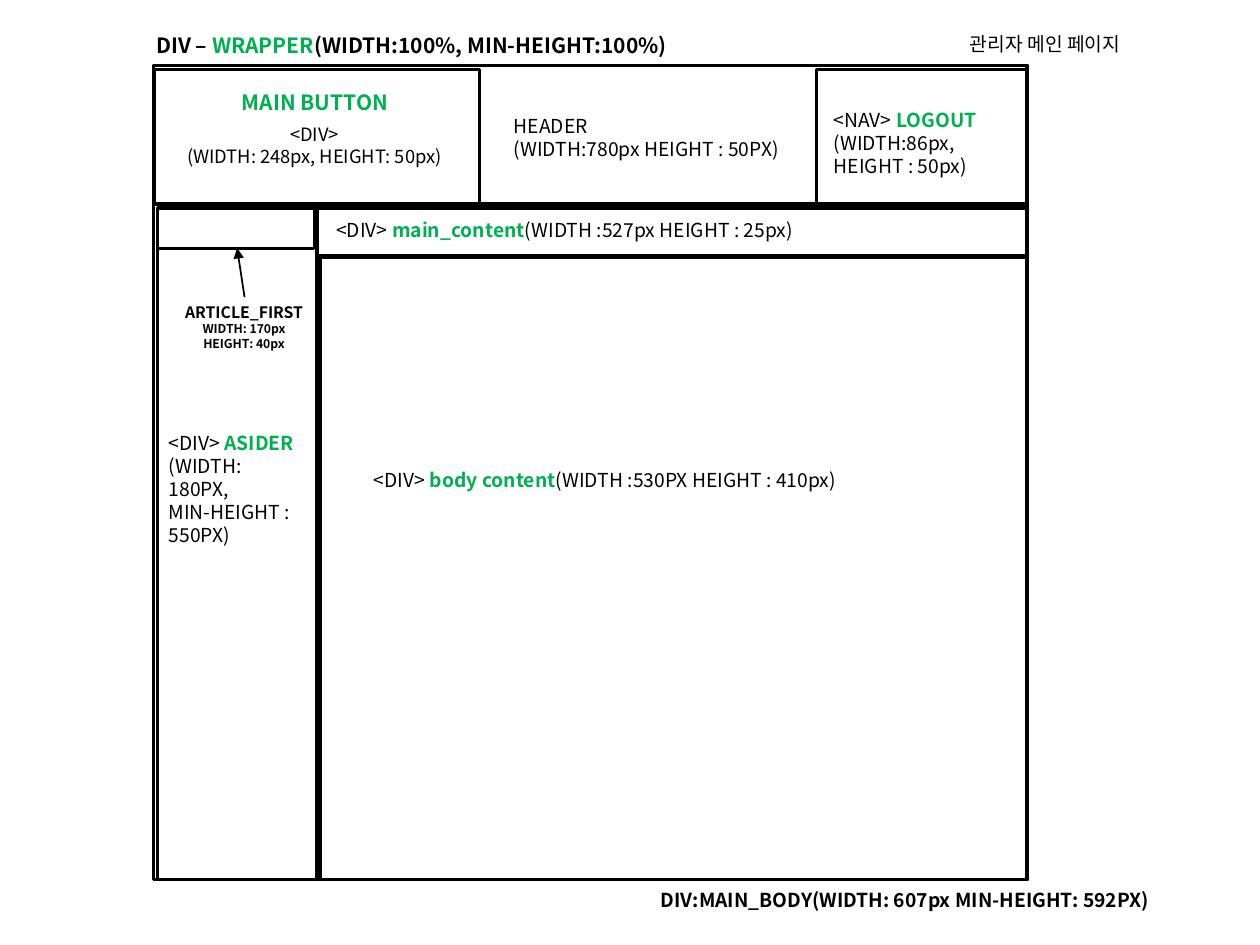
from lxml.etree import SubElement
from pptx import Presentation
from pptx.dml.color import RGBColor as Rgb
from pptx.enum.shapes import MSO_CONNECTOR as Link, MSO_SHAPE as Kind
from pptx.enum.text import MSO_ANCHOR as Anchor, MSO_AUTO_SIZE as Fit, PP_ALIGN as Align
from pptx.oxml.ns import qn
from pptx.util import Cm, Pt

FONT = "Noto Sans CJK KR"
COLORS = {"ink": "000000", "name": "00B050"}


def place(box, x, y, w, h):
    return Cm(box[0] + x), Cm(box[1] + y), Cm(w), Cm(h)


def write(frame, lines, sizes, align=Align.LEFT, bold=False):
    # Text between bars is a green element name.
    for i, (line, size) in enumerate(zip(lines, sizes)):
        para = frame.paragraphs[0] if i == 0 else frame.add_paragraph()
        para.alignment = align
        for j, part in enumerate(line.split("|")):
            if not part:
                continue
            named = j % 2 == 1
            run = para.add_run()
            run.text = part
            font = run.font
            font.size = Pt(size)
            font.bold = bold or named
            font.color.rgb = Rgb.from_string(COLORS["name" if named else "ink"])
            font.name = FONT
            SubElement(run._r.get_or_add_rPr(), qn("a:ea"), typeface=FONT)


def label(slide, spot, lines, size=11, align=Align.LEFT, bold=False, wrap=True):
    frame = slide.shapes.add_textbox(*spot).text_frame
    frame.word_wrap = wrap
    frame.auto_size = Fit.SHAPE_TO_FIT_TEXT
    write(frame, lines, [size] * len(lines), align, bold)


def block(slide, spot, kind=Kind.RECTANGLE, width=2):
    shape = slide.shapes.add_shape(kind, *spot)
    shape.shadow.inherit = False
    shape.fill.background()
    if width:
        shape.line.color.rgb = Rgb.from_string(COLORS["ink"])
        shape.line.width = Pt(width)
    else:
        shape.line.fill.background()
    return shape


def note(slide, spot, lines, sizes):
    frame = block(slide, spot, Kind.FLOWCHART_PROCESS, 0).text_frame
    frame.word_wrap = True
    frame.vertical_anchor = Anchor.MIDDLE
    write(frame, lines, sizes, Align.CENTER, True)


def arrow(slide, box, start, end):
    x, y = box[:2]
    line = slide.shapes.add_connector(
        Link.STRAIGHT, Cm(x + start[0]), Cm(y + start[1]), Cm(x + end[0]), Cm(y + end[1]))
    line.line.color.rgb = Rgb.from_string(COLORS["ink"])
    line.line.width = Pt(1)
    SubElement(line.line._get_or_add_ln(), qn("a:tailEnd"), type="triangle")
    SubElement(line._element.spPr, qn("a:effectLst"))


def wrapper(slide, box):
    block(slide, place(box, 0, 0, *box[2:]))
    label(slide, place(box, -0.2, -0.79, 11.1, 0.76),
          ["DIV – |WRAPPER|(WIDTH:100%, MIN-HEIGHT:100%)"], 12, bold=True, wrap=False)
    label(slide, place(box, 16.2, -0.79, 3.91, 0.74), ["관리자 메인 페이지"], wrap=False)
    note(slide, place(box, 8.99, box[3] + 0.02, 12.32, 0.79),
         ["DIV:MAIN_BODY(WIDTH: 607px MIN-HEIGHT: 592PX)"], [11])


def header(slide, box):
    block(slide, place(box, 0, 0, *box[2:]))
    block(slide, place(box, 0.02, 0.08, 6.55, 2.72))
    block(slide, place(box, 13.36, 0.08, 4.24, 2.72))
    label(slide, place(box, 0, 0.36, 6.5, 0.76), ["|MAIN BUTTON|"], 12, Align.CENTER)
    label(slide, place(box, -0.05, 1.04, 6.58, 1.14),
          ["<DIV>", "(WIDTH: 248px, HEIGHT: 50px)"], 10.5, Align.CENTER)
    label(slide, place(box, 7.01, 0.86, 6.65, 1.19),
          ["HEADER", "(WIDTH:780px HEIGHT : 50PX)"])
    label(slide, place(box, 13.46, 0.74, 4.19, 1.68),
          ["<NAV> |LOGOUT|", "(WIDTH:86px,", "HEIGHT : 50px)"])


def aside(slide, box):
    block(slide, place(box, 0, 0, *box[2:]))
    block(slide, place(box, 0, 0.03, 3.15, 0.79), Kind.FLOWCHART_PROCESS, 1.25)
    note(slide, place(box, 0.15, 1.8, 3.18, 1.19),
         ["ARTICLE_FIRST", "WIDTH: 170px", "HEIGHT: 40px"], [9, 7, 7])
    arrow(slide, box, (1.75, 1.8), (1.6, 0.81))
    label(slide, place(box, -0.03, 4.37, 3.2, 2.13),
          ["<DIV> |ASIDER| (WIDTH: 180PX,", "MIN-HEIGHT : 550PX)"])


def content(slide, box):
    w, h = box[2:]
    block(slide, place(box, 0, 0, w, 0.97))
    block(slide, place(box, 0.05, 0.99, w - 0.05, h - 0.99))
    label(slide, place(box, 0.13, 0.08, 9.93, 0.74),
          ["<DIV> |main_content|(WIDTH :527px HEIGHT : 25px)"])
    label(slide, place(box, 0.89, 5.13, 11.33, 0.74),
          ["<DIV> |body content|(WIDTH :530PX HEIGHT : 410px)"])


def main():
    deck = Presentation()
    deck.slide_width, deck.slide_height = Cm(25.4), Cm(19.05)
    slide = deck.slides.add_slide(deck.slide_layouts[6])
    wrapper(slide, (3.1, 1.32, 17.6, 16.41))
    header(slide, (3.1, 1.32, 17.6, 2.79))
    aside(slide, (3.18, 4.19, 3.2, 13.54))
    content(slide, (6.4, 4.19, 14.3, 13.54))
    deck.save("out.pptx")


if __name__ == "__main__":
    main()
